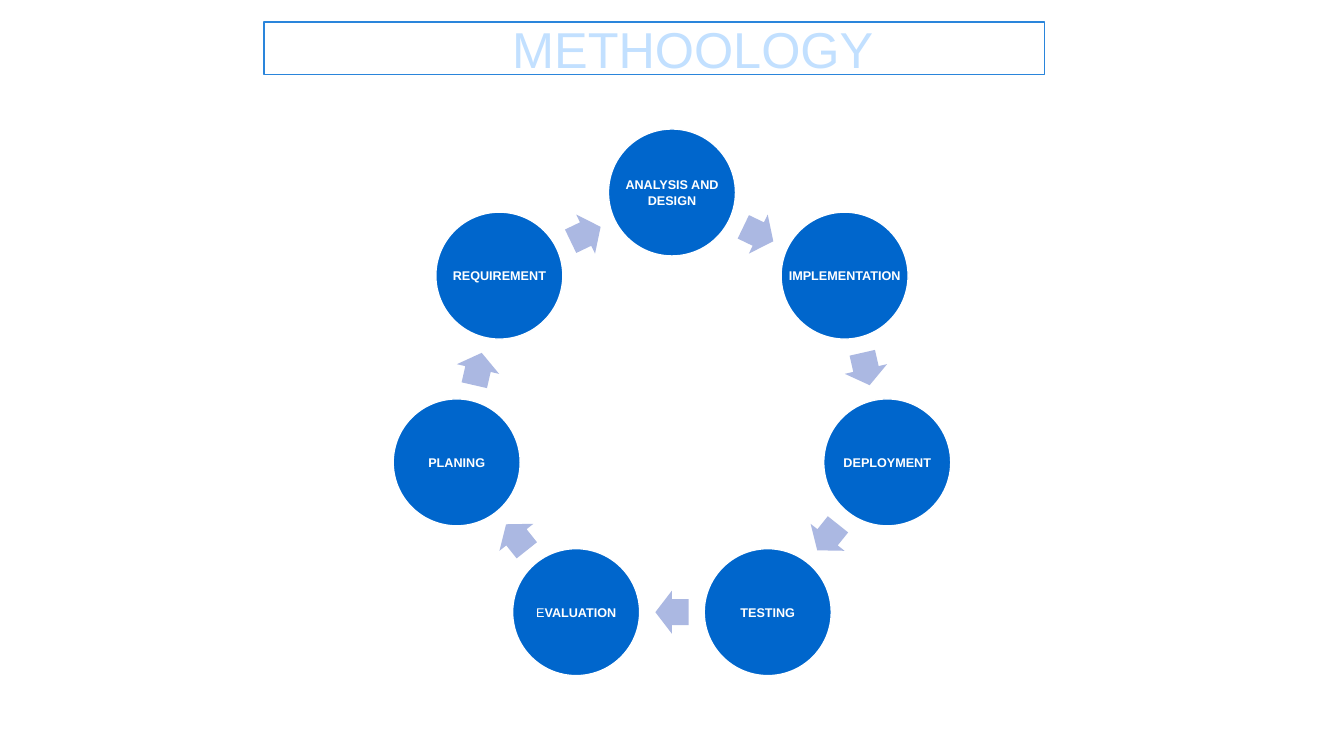
import math
import pptx
import pptx.dml.color
import pptx.enum.shapes
import pptx.enum.text
import pptx.util

COLS, ROWS = 133.3, 75
CELL = pptx.util.Inches(0.1)
ALIGN = pptx.enum.text.PP_ALIGN
SHAPE = pptx.enum.shapes.MSO_SHAPE

MID_COL, MID_ROW = 66.65, 41
RING = 21.9
DISC = 12.6
ARROW = (3.3, 4.3)

# Each stage is a list of (text, bold) runs, clockwise from the top.
STAGES = [
    [("ANALYSIS AND DESIGN", True)],
    [("IMPLEMENTATION", True)],
    [("DEPLOYMENT", True)],
    [("TESTING", True)],
    [("E", False), ("VALUATION", True)],
    [("PLANING", True)],
    [("REQUIREMENT", True)],
]


def span(cells):
    return pptx.util.Emu(round(cells * CELL))


def hue(code):
    return pptx.dml.color.RGBColor.from_string(code)


def apply(target, values):
    for name, value in values.items():
        setattr(target, name, value)


def point(turn, reach):
    """Return the column and row at a clockwise angle from the top."""
    angle = math.radians(turn)
    return MID_COL + reach * math.sin(angle), MID_ROW - reach * math.cos(angle)


def center(spot, size):
    """Return the box of the given size around a spot."""
    return (spot[0] - size[0] / 2, spot[1] - size[1] / 2, *size)


class Deck:
    font = "Arial"
    blue, pale, edge = "0066CC", "ABB8E2", "2A85DB"
    sky, white = "C2E0FF", "FFFFFF"
    frame = {
        "word_wrap": True,
        "auto_size": pptx.enum.text.MSO_AUTO_SIZE.NONE,
        "vertical_anchor": pptx.enum.text.MSO_ANCHOR.MIDDLE,
    }
    inset = dict.fromkeys(
        ("margin_left", "margin_top", "margin_right", "margin_bottom"),
        pptx.util.Inches(0.01))

    def __init__(self):
        self.file = pptx.Presentation()
        apply(self.file, {"slide_width": span(COLS), "slide_height": span(ROWS)})
        self.slide = self.file.slides.add_slide(self.file.slide_layouts[5])

    def words(self, para, text, size, color, bold=False):
        run = para.add_run()
        run.text = text
        apply(run.font, {"name": self.font, "size": pptx.util.Pt(size), "bold": bold})
        run.font.color.rgb = hue(color)

    def title(self, text, box, indent):
        head = self.slide.shapes.title
        apply(head, dict(zip(("left", "top", "width", "height"), map(span, box))))
        head.line.color.rgb = hue(self.edge)
        head.line.width = pptx.util.Pt(1.25)
        apply(head.text_frame, self.frame)
        head.text_frame.margin_left = span(1 + indent)
        para = head.text_frame.paragraphs[0]
        para.alignment = ALIGN.LEFT
        self.words(para, text, 36, self.sky)

    def shape(self, kind, box, fill):
        item = self.slide.shapes.add_shape(kind, *map(span, box))
        item.shadow.inherit = False
        item.fill.solid()
        item.fill.fore_color.rgb = hue(fill)
        item.line.fill.background()
        return item

    def disc(self, box):
        item = self.shape(SHAPE.OVAL, box, self.blue)
        item.line.color.rgb = hue(self.white)
        item.line.width = pptx.util.Pt(1)

    def label(self, runs, box):
        frame = self.slide.shapes.add_textbox(*map(span, box)).text_frame
        apply(frame, {**self.frame, **self.inset})
        para = frame.paragraphs[0]
        para.alignment = ALIGN.CENTER
        for text, bold in runs:
            self.words(para, text, 9, self.white, bold)

    def arrow(self, box, turn):
        item = self.shape(SHAPE.RIGHT_ARROW, box, self.pale)
        item.adjustments[0] = 0.6
        item.adjustments[1] = 0.5
        item.rotation = turn


def main():
    deck = Deck()
    deck.title("METHOOLOGY", (26.2, 2.2, 77.4, 5.2), 23.6)
    step = 360 / len(STAGES)
    inner = RING * math.cos(math.radians(step / 2))
    for index, runs in enumerate(STAGES):
        box = center(point(index * step, RING), (DISC, DISC))
        deck.disc(box)
        deck.label(runs, box)
        turn = (index + 0.5) * step
        deck.arrow(center(point(turn, inner), ARROW), turn)
    deck.file.save("out.pptx")


if __name__ == "__main__":
    main()
